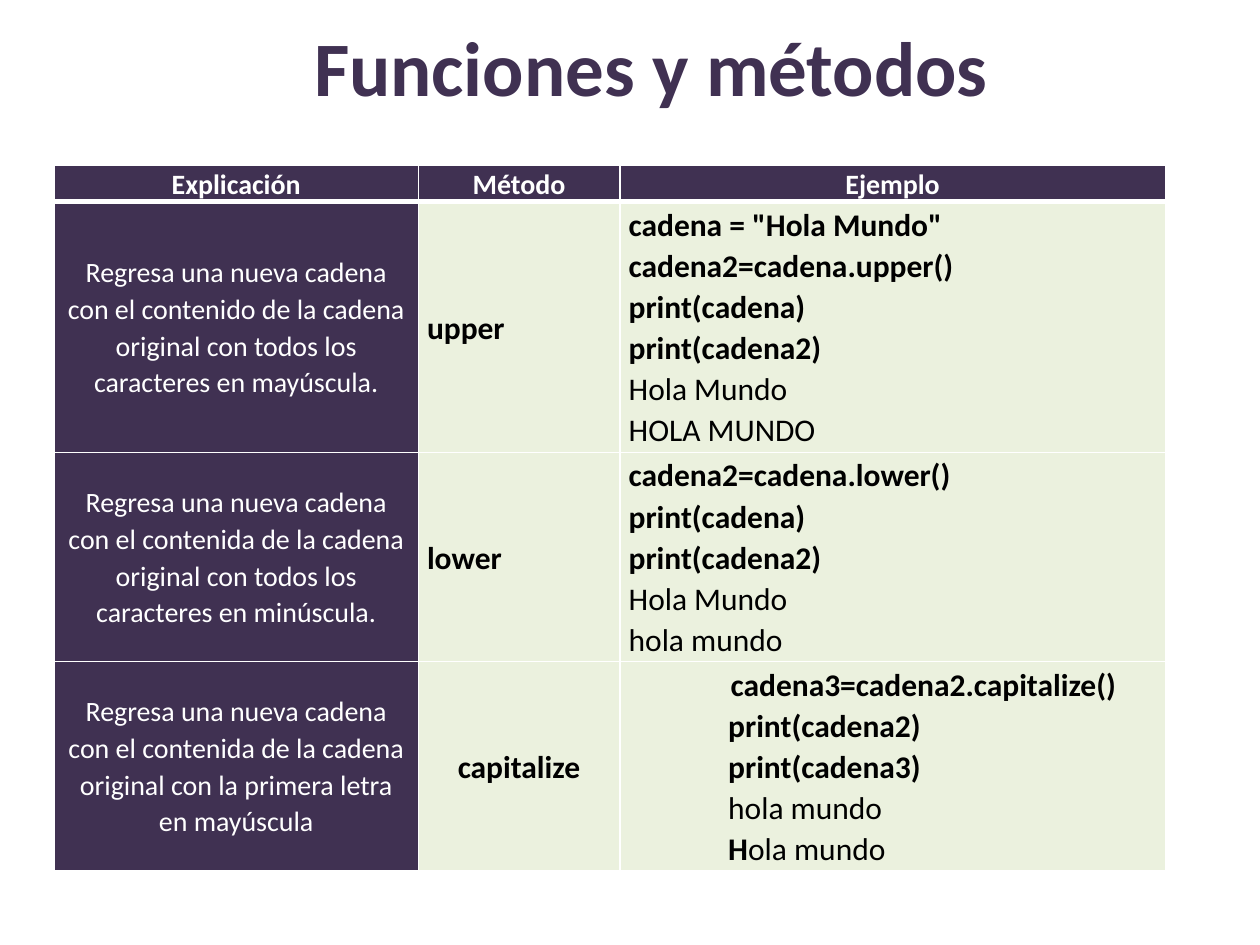
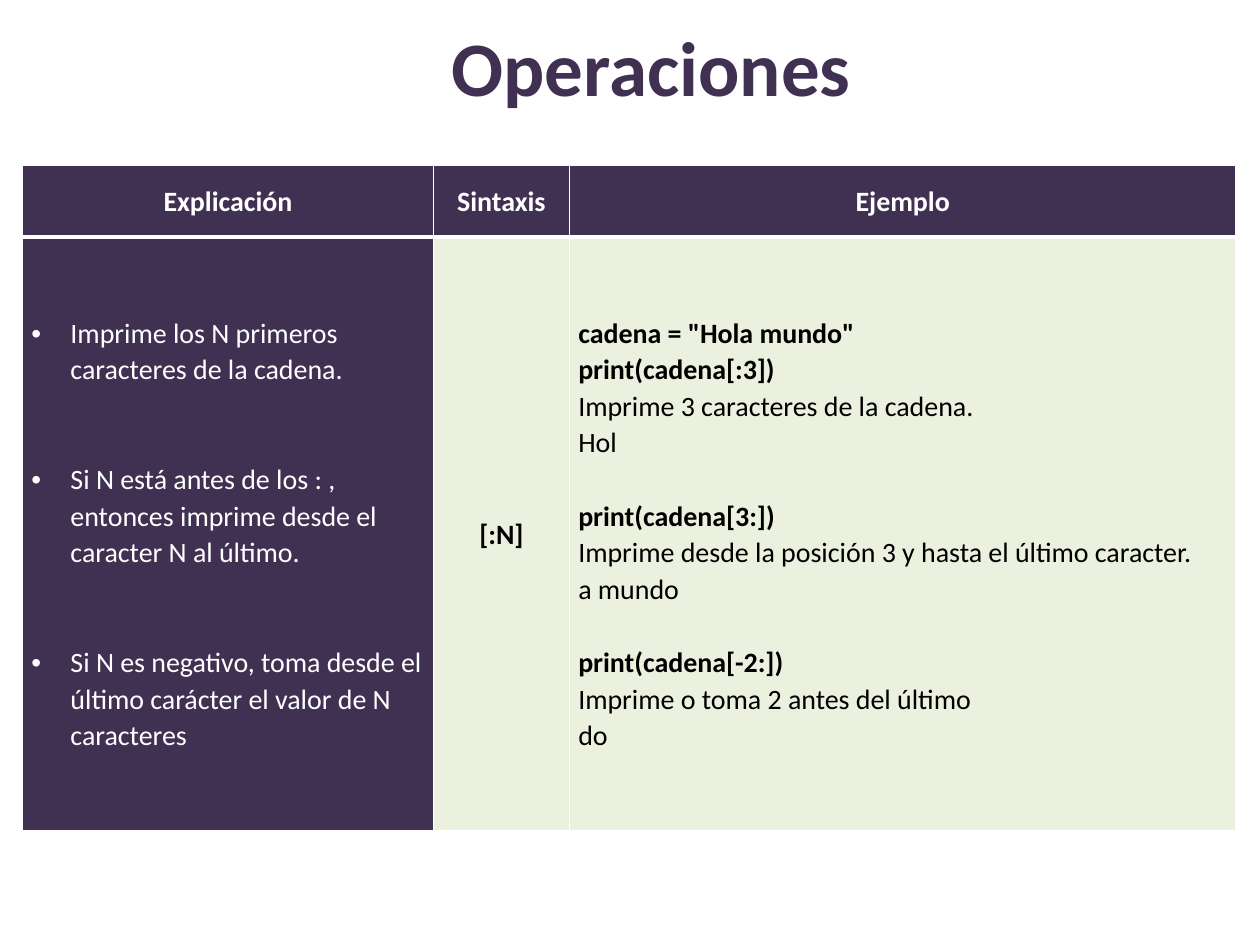
from dataclasses import dataclass

from lxml import etree
from pptx import Presentation
from pptx.dml.color import RGBColor
from pptx.enum.text import MSO_ANCHOR, PP_ALIGN
from pptx.oxml.ns import qn
from pptx.util import Inches, Pt

LEFT, CENTER = PP_ALIGN.LEFT, PP_ALIGN.CENTER
MIDDLE = MSO_ANCHOR.MIDDLE
TITLE_ONLY = 5


@dataclass(frozen=True)
class Theme:
    """Colours, type sizes and line widths shared by the slides."""

    font: str = "Calibri"
    purple: str = "403152"
    green: str = "EBF1DE"
    white: str = "FFFFFF"
    black: str = "000000"
    title_size: int = 44
    text_size: int = 16
    method_size: int = 18
    line_spacing: float = 1.07
    thin: int = 1
    thick: int = 3


THEME = Theme()
TITLE_BOX = (1.17, -0.1, 8, 1.25)
BLANK_LINE = 20.9


@dataclass(frozen=True)
class Line:
    """One paragraph of a cell, as (text, bold) spans."""

    spans: tuple
    align: int = LEFT
    indent: float = 0
    before: float = 0
    bullet: bool = False


def plain(text, **options):
    """Return a paragraph in regular weight."""
    return Line(((text, False),), **options)


def strong(text, **options):
    """Return a paragraph in bold."""
    return Line(((text, True),), **options)


def add_span(para, text, size, color, bold):
    """Add one formatted run to a paragraph."""
    span = para.add_run()
    span.text = text
    span.font.name = THEME.font
    span.font.size = Pt(size)
    span.font.bold = bold
    span.font.color.rgb = RGBColor.from_string(color)


def add_title(page, text):
    """Place and format the title of a page."""
    title = page.shapes.title
    title.left, title.top, title.width, title.height = map(Inches, TITLE_BOX)
    frame = title.text_frame
    frame.word_wrap = True
    frame.vertical_anchor = MIDDLE
    para = frame.paragraphs[0]
    para.alignment = CENTER
    add_span(para, text, THEME.title_size, THEME.purple, True)


def set_borders(cell, top, bottom):
    """Draw white borders around a cell."""
    widths = {"a:lnL": THEME.thin, "a:lnR": THEME.thin, "a:lnT": top, "a:lnB": bottom}
    properties = cell._tc.get_or_add_tcPr()
    for index, (tag, width) in enumerate(widths.items()):
        border = etree.Element(qn(tag), w=str(Pt(width)))
        fill = etree.SubElement(border, qn("a:solidFill"))
        etree.SubElement(fill, qn("a:srgbClr"), val=THEME.white)
        properties.insert(index, border)


def fill_cell(cell, lines, fill, color, size, inset):
    """Fill a cell with formatted paragraphs."""
    cell.fill.solid()
    cell.fill.fore_color.rgb = RGBColor.from_string(fill)
    cell.vertical_anchor = MIDDLE
    cell.margin_left = cell.margin_right = Inches(inset)
    cell.margin_top = cell.margin_bottom = 0
    frame = cell.text_frame
    for index, line in enumerate(lines):
        para = frame.add_paragraph() if index else frame.paragraphs[0]
        para.alignment = line.align
        para.line_spacing = THEME.line_spacing
        para.space_before = Pt(line.before)
        properties = para._p.get_or_add_pPr()
        properties.set("marL", str(Inches(line.indent)))
        if line.bullet:
            properties.set("indent", str(-Inches(line.indent)))
            etree.SubElement(properties, qn("a:buFont"), typeface="Arial")
            etree.SubElement(properties, qn("a:buChar"), char="•")
        for text, bold in line.spans:
            add_span(para, text, size, color, bold)


def add_method_table(page, box, widths, heights, headers, rows, size):
    """Add a table with a dark header row and a dark first column."""
    frame = page.shapes.add_table(len(heights), len(widths), *map(Inches, box))
    table = frame.table
    table.first_row = table.horz_banding = False
    for column, width in zip(table.columns, widths):
        column.width = Inches(width)
    for row, height in zip(table.rows, heights):
        row.height = Inches(height)
    for index, header in enumerate(headers):
        cell = table.cell(0, index)
        fill_cell(cell, [strong(header, align=CENTER)], THEME.purple,
                  THEME.white, THEME.text_size, 0.03)
        set_borders(cell, THEME.thin, THEME.thick)
    for row_index, row in enumerate(rows, 1):
        for index, lines in enumerate(row):
            cell = table.cell(row_index, index)
            if index == 0:
                fill_cell(cell, lines, THEME.purple, THEME.white, THEME.text_size, 0.07)
            else:
                fill_cell(cell, lines, THEME.green, THEME.black, size, 0.07)
            set_borders(cell, THEME.thick if row_index == 1 else THEME.thin, THEME.thin)


def add_page(deck, title):
    """Add a titled page to the deck."""
    page = deck.slides.add_slide(deck.slide_layouts[TITLE_ONLY])
    add_title(page, title)
    return page


def build_methods(deck):
    """Build the page of string methods."""
    page = add_page(deck, "Funciones y métodos")
    explanation = "Regresa una nueva cadena con el {} de la cadena original con {}"
    upper, lower, capitalize = (
        [plain(explanation.format(noun, change), align=CENTER)]
        for noun, change in (
            ("contenido", "todos los caracteres en mayúscula."),
            ("contenida", "todos los caracteres en minúscula."),
            ("contenida", "la primera letra en mayúscula"),
        )
    )
    indent = 0.79
    rows = [
        (upper, [strong("upper")], [
            strong('cadena = "Hola Mundo"'),
            strong("cadena2=cadena.upper()"),
            strong("print(cadena)"),
            strong("print(cadena2)"),
            plain("Hola Mundo"),
            plain("HOLA MUNDO"),
        ]),
        (lower, [strong("lower")], [
            strong("cadena2=cadena.lower()"),
            strong("print(cadena)"),
            strong("print(cadena2)"),
            plain("Hola Mundo"),
            plain("hola mundo"),
        ]),
        (capitalize, [strong("capitalize", align=CENTER)], [
            strong("cadena3=cadena2.capitalize()", indent=0.81),
            strong("print(cadena2)", indent=indent),
            strong("print(cadena3)", indent=indent),
            plain("hola mundo", indent=indent),
            Line((("H", True), ("ola mundo", False)), indent=indent),
        ]),
    ]
    add_method_table(page, (0.43, 1.31, 8.82, 5.59), (2.89, 1.6, 4.33),
                     (0.28, 1.99, 1.66, 1.66), ("Explicación", "Método", "Ejemplo"),
                     rows, THEME.method_size)


def build_operations(deck):
    """Build the page of slicing operations."""
    page = add_page(deck, "Operaciones")
    explanations = (
        "Imprime los N primeros caracteres de la cadena.",
        "Si N está antes de los : , entonces imprime desde el caracter N al último.",
        "Si N es negativo, toma desde el último carácter el valor de N caracteres",
    )
    bullets = [
        plain(text, indent=0.31, bullet=True, before=2 * BLANK_LINE if index else 0)
        for index, text in enumerate(explanations)
    ]
    examples = [
        strong('cadena = "Hola mundo"'),
        strong("print(cadena[:3])"),
        plain("Imprime 3 caracteres de la cadena."),
        plain("Hol"),
        strong("print(cadena[3:])", before=BLANK_LINE),
        plain("Imprime desde la posición 3 y hasta el último caracter."),
        plain("a mundo"),
        strong("print(cadena[-2:])", before=BLANK_LINE),
        plain("Imprime o toma 2 antes del último"),
        plain("do"),
    ]
    rows = [(bullets, [strong("[:N]", align=CENTER)], examples)]
    add_method_table(page, (0.18, 1.31, 9.63, 5.28), (3.26, 1.08, 5.29), (0.57, 4.71),
                     ("Explicación", "Sintaxis", "Ejemplo"), rows, THEME.text_size)


def main():
    """Build and save the deck."""
    deck = Presentation()
    deck.slide_width, deck.slide_height = Inches(10), Inches(7.5)
    build_methods(deck)
    build_operations(deck)
    deck.save("out.pptx")


if __name__ == "__main__":
    main()
